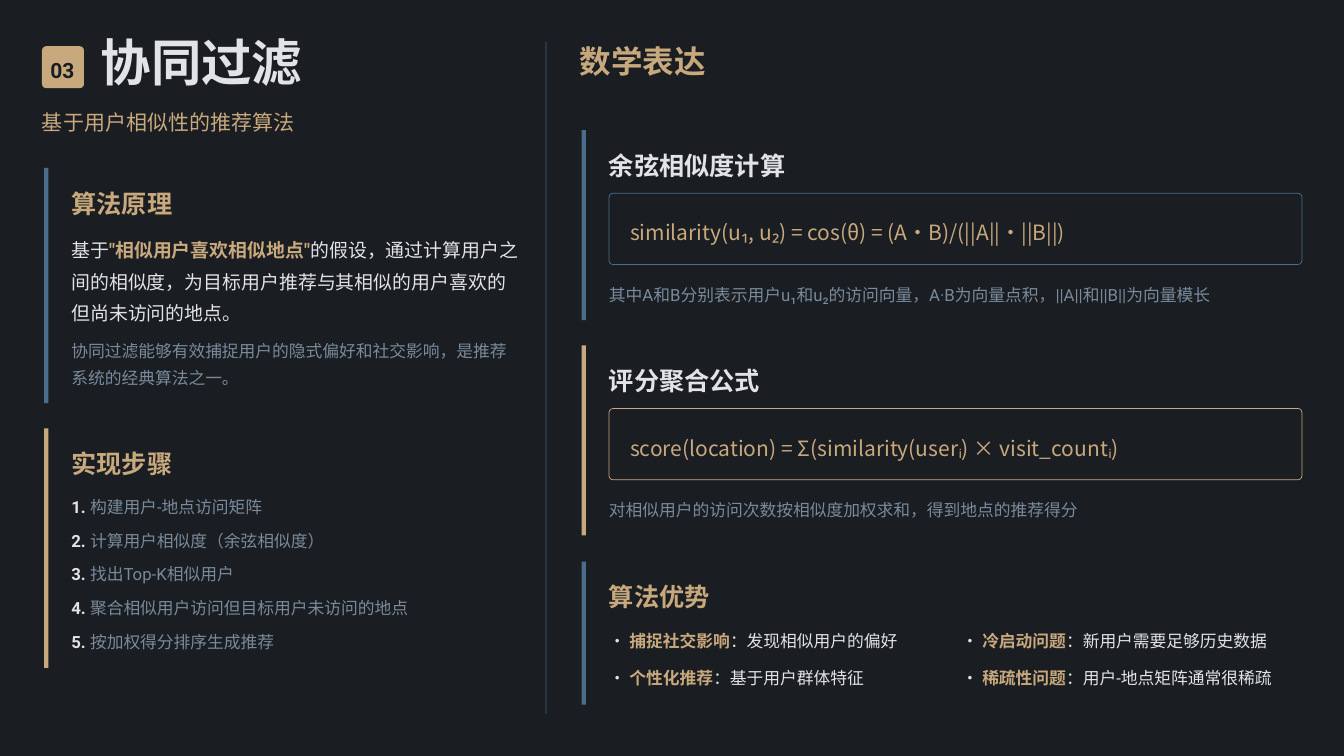
from lxml import etree
from pptx import Presentation
from pptx.dml.color import RGBColor
from pptx.enum.shapes import MSO_SHAPE as Shape
from pptx.enum.text import MSO_ANCHOR as Anchor
from pptx.oxml.ns import qn
from pptx.util import Pt

PX = 12700  # EMU per px, on a 1280 x 720 slide

DARK = RGBColor(0x1A, 0x1D, 0x21)
BLUE = RGBColor(0x4A, 0x6D, 0x8C)
GOLD = RGBColor(0xC8, 0xA9, 0x7E)
LIGHT = RGBColor(0xE1, 0xE3, 0xE6)
GREY = RGBColor(0x78, 0x8A, 0x9C)

LATIN_FONT = "Roboto"
CHINESE_FONT = "Noto Sans CJK SC"

LEFT_BAR, LEFT_TEXT, LEFT_WIDTH = 42, 68, 427
RIGHT_BAR, RIGHT_TEXT, RIGHT_WIDTH = 554, 580, 668

STEPS = [
    "构建用户-地点访问矩阵",
    "计算用户相似度（余弦相似度）",
    "找出Top-K相似用户",
    "聚合相似用户访问但目标用户未访问的地点",
    "按加权得分排序生成推荐",
]
FORMULAS = [
    (BLUE, "余弦相似度计算",
     "similarity(u₁, u₂) = cos(θ) = (A·B)/(||A||·||B||)",
     "其中A和B分别表示用户u₁和u₂的访问向量，A·B为向量点积，||A||和||B||为向量模长"),
    (GOLD, "评分聚合公式",
     "score(location) = Σ(similarity(userᵢ) × visit_countᵢ)",
     "对相似用户的访问次数按相似度加权求和，得到地点的推荐得分"),
]
TRAITS = [
    ("捕捉社交影响", "发现相似用户的偏好"),
    ("冷启动问题", "新用户需要足够历史数据"),
    ("个性化推荐", "基于用户群体特征"),
    ("稀疏性问题", "用户-地点矩阵通常很稀疏"),
]


def add_box(slide, left, top, width, height, fill, radius=0, line=None):
    kind = Shape.ROUNDED_RECTANGLE if radius else Shape.RECTANGLE
    shape = slide.shapes.add_shape(
        kind, left * PX, top * PX, width * PX, height * PX)
    if radius:
        shape.adjustments[0] = radius / min(width, height)
    shape.shadow.inherit = False
    shape.fill.solid()
    shape.fill.fore_color.rgb = fill
    if line is None:
        shape.line.fill.background()
    else:
        shape.line.color.rgb = line
        shape.line.width = Pt(0.67)
    return shape


def set_opacity(shape, percent):
    color = shape.fill._xPr.find(qn("a:solidFill"))[0]
    etree.SubElement(color, qn("a:alpha")).set("val", str(percent * 1000))


def add_text(slide, left, top, width, height, runs, size, spacing, font=LATIN_FONT):
    """Add one paragraph made of (text, colour, bold) runs."""
    box = slide.shapes.add_textbox(left * PX, top * PX, width * PX, height * PX)
    frame = box.text_frame
    frame.word_wrap = True
    frame.vertical_anchor = Anchor.MIDDLE
    frame.margin_left = frame.margin_right = 0
    frame.margin_top = frame.margin_bottom = 0
    paragraph = frame.paragraphs[0]
    paragraph.line_spacing = spacing
    for text, color, bold in runs:
        run = paragraph.add_run()
        run.text = text
        run.font.size = Pt(size)
        run.font.bold = bold
        run.font.color.rgb = color
        run.font.name = font
        east_asian = etree.SubElement(run.font._element, qn("a:ea"))
        east_asian.set("typeface", CHINESE_FONT)


def add_section(slide, bar_left, top, height, bar_color, heading, heading_color):
    """Add a coloured side bar and the heading beside it."""
    add_box(slide, bar_left, top, 4, height, bar_color)
    add_text(slide, bar_left + 26, top + 16, 430, 32,
             [(heading, heading_color, True)], 24, 1.1)


def add_title(slide):
    add_box(slide, 40, 44, 40, 40, GOLD, radius=4)
    add_text(slide, 48, 50, 34, 28, [("03", DARK, True)], 20, 1.2)
    add_text(slide, 96, 40, 216, 48, [("协同过滤", LIGHT, True)], 48, 0.8)
    add_text(slide, 40, 100, 456, 28,
             [("基于用户相似性的推荐算法", GOLD, False)], 20, 1.2)


def add_principle(slide):
    add_section(slide, LEFT_BAR, 160, 224, BLUE, "算法原理", GOLD)
    add_text(slide, LEFT_TEXT, 220, LEFT_WIDTH, 88, [
        ("基于", LIGHT, False),
        ('"相似用户喜欢相似地点"', GOLD, True),
        ("的假设，通过计算用户之间的相似度，为目标用户推荐与其相似的用户喜欢的但尚未访问的地点。",
         LIGHT, False),
    ], 18, 1.4)
    add_text(slide, LEFT_TEXT, 320, LEFT_WIDTH, 48, [
        ("协同过滤能够有效捕捉用户的隐式偏好和社交影响，是推荐系统的经典算法之一。",
         GREY, False),
    ], 16, 1.3)


def add_steps(slide):
    add_section(slide, LEFT_BAR, 408, 228, GOLD, "实现步骤", GOLD)
    for index, step in enumerate(STEPS):
        add_text(slide, LEFT_TEXT, 468 + 32 * index, LEFT_WIDTH, 24, [
            (f"{index + 1}.", LIGHT, True),
            (f" {step}", GREY, False),
        ], 16, 1.3)


def add_formula(slide, top, color, heading, formula, note):
    add_section(slide, RIGHT_BAR, top, 181, color, heading, LIGHT)
    add_box(slide, RIGHT_TEXT, top + 60, 660, 68, DARK, radius=4, line=color)
    add_text(slide, RIGHT_TEXT + 20, top + 83, 600, 24,
             [(formula, GOLD, False)], 20, 1.2, CHINESE_FONT)
    add_text(slide, RIGHT_TEXT, top + 142, RIGHT_WIDTH, 24,
             [(note, GREY, False)], 16, 1.3)


def add_traits(slide):
    add_section(slide, RIGHT_BAR, 535, 136, BLUE, "算法优势", GOLD)
    for index, (name, detail) in enumerate(TRAITS):
        row, column = divmod(index, 2)
        add_text(slide, RIGHT_TEXT + 336 * column, 595 + 36 * row, 332, 24, [
            ("• ", LIGHT, False),
            (name, GOLD, True),
            (f"：{detail}", LIGHT, False),
        ], 16, 1.3)


def main():
    presentation = Presentation()
    presentation.slide_width = 1280 * PX
    presentation.slide_height = 720 * PX
    slide = presentation.slides.add_slide(presentation.slide_layouts[6])
    slide.background.fill.solid()
    slide.background.fill.fore_color.rgb = DARK

    divider = add_box(slide, 519, 40, 2, 640, BLUE)
    set_opacity(divider, 30)
    add_title(slide)
    add_principle(slide)
    add_steps(slide)

    add_text(slide, 552, 40, 703, 36, [("数学表达", GOLD, True)], 30, 1.0)
    for index, content in enumerate(FORMULAS):
        add_formula(slide, 124 + 205 * index, *content)
    add_traits(slide)
    presentation.save("out.pptx")


if __name__ == "__main__":
    main()
